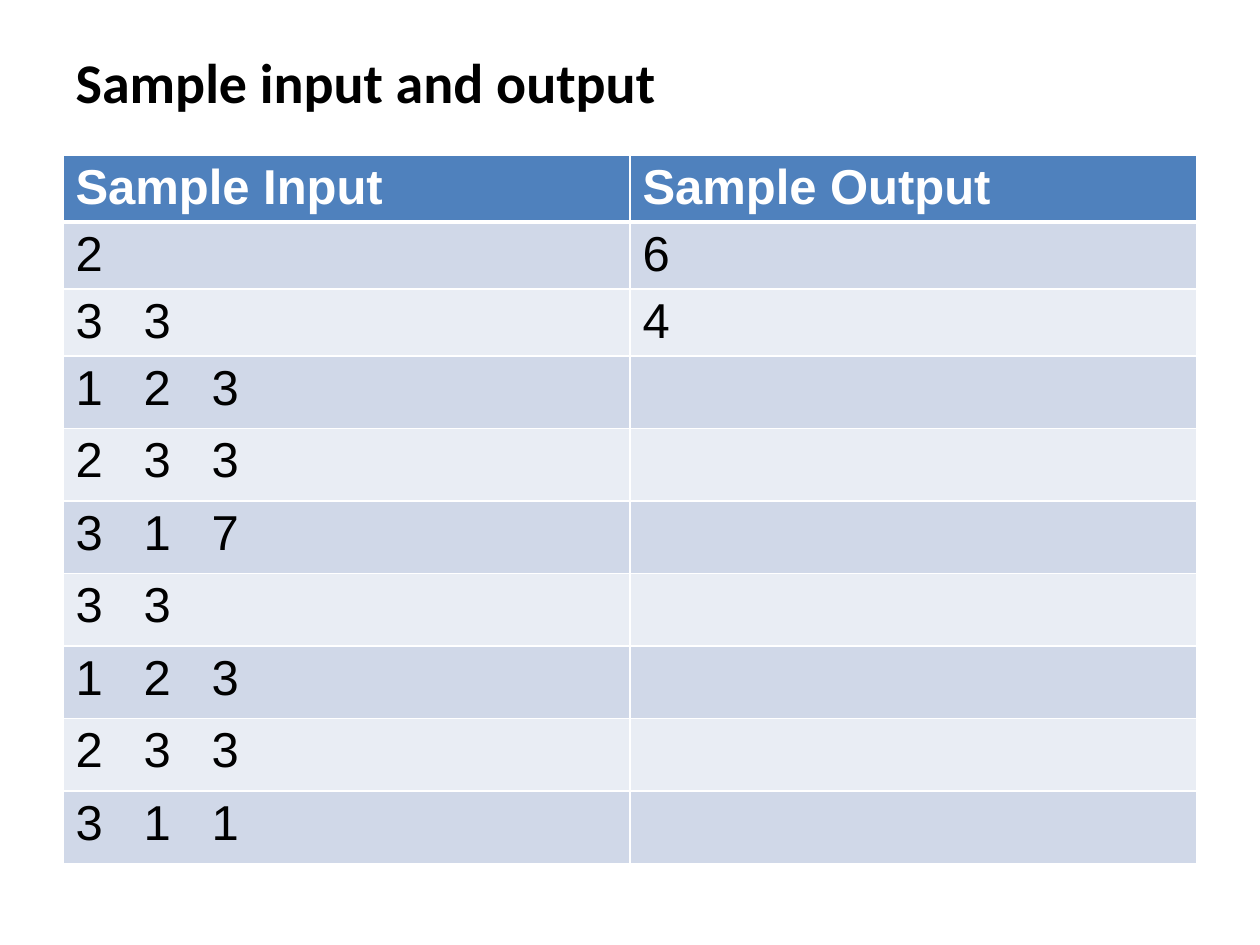
from lxml.etree import SubElement
from pptx import Presentation
from pptx.dml.color import RGBColor
from pptx.enum.text import MSO_ANCHOR, PP_ALIGN
from pptx.oxml.ns import qn
from pptx.util import Pt

# Content
TITLE = "Sample input and output"
ROWS = [
    ("Sample Input", "Sample Output"),
    ("2", "6"),
    ("3   3", "4"),
    ("1   2   3", ""),
    ("2   3   3", ""),
    ("3   1   7", ""),
    ("3   3", ""),
    ("1   2   3", ""),
    ("2   3   3", ""),
    ("3   1   1", ""),
]

BLACK = RGBColor(0x00, 0x00, 0x00)
WHITE = RGBColor(0xFF, 0xFF, 0xFF)
HEADER_BLUE = RGBColor(0x4F, 0x81, 0xBD)
BANDS = (RGBColor(0xE9, 0xED, 0xF4), RGBColor(0xD0, 0xD8, 0xE8))

# Layout in px, 126 to the inch
LEFT, WIDTH = 63, 1134
TABLE_TOP, TABLE_BOTTOM = 155, 864
FILLED_ROW = 67  # height of the rows with text in both columns


def px(length):
    return round(length * 914400 / 126)


def style_text(paragraph, font_name, size, color, bold):
    font = paragraph.font
    font.name, font.size, font.bold = font_name, Pt(size), bold
    font.color.rgb = color


def add_border(cell, side, width):
    line = SubElement(cell._tc.get_or_add_tcPr(), qn(f"a:{side}"), w=str(Pt(width)))
    fill = SubElement(line, qn("a:solidFill"))
    SubElement(fill, qn("a:srgbClr"), val=str(WHITE))


prs = Presentation()
prs.slide_width, prs.slide_height = px(1260), px(945)
slide = prs.slides.add_slide(prs.slide_layouts[5])

# Title
title = slide.shapes.title
title.left, title.top, title.width, title.height = px(LEFT), px(38), px(WIDTH), px(87)
title.text_frame.text = TITLE
title.text_frame.vertical_anchor = MSO_ANCHOR.MIDDLE
heading = title.text_frame.paragraphs[0]
heading.alignment = PP_ALIGN.LEFT
style_text(heading, "Calibri", 32, BLACK, True)

# Table
table = slide.shapes.add_table(
    len(ROWS), len(ROWS[0]), px(LEFT), px(TABLE_TOP), px(WIDTH), px(TABLE_BOTTOM - TABLE_TOP)
).table
filled_count = sum(all(row) for row in ROWS)
open_row = (TABLE_BOTTOM - TABLE_TOP - filled_count * FILLED_ROW) / (len(ROWS) - filled_count)

for r, row in enumerate(ROWS):
    is_header = r == 0
    table.rows[r].height = px(FILLED_ROW if all(row) else open_row)
    for c, text in enumerate(row):
        cell = table.cell(r, c)
        cell.text = text
        cell.margin_top = cell.margin_bottom = px(5)
        style_text(cell.text_frame.paragraphs[0], "Arial", 28,
                   WHITE if is_header else BLACK, is_header)
        # Borders come before the fill in the cell properties
        for side in ("lnL", "lnR", "lnT", "lnB"):
            heavy = (side, r) in (("lnB", 0), ("lnT", 1))
            add_border(cell, side, 3 if heavy else 1)
        cell.fill.solid()
        cell.fill.fore_color.rgb = HEADER_BLUE if is_header else BANDS[r % 2]

prs.save("out.pptx")
